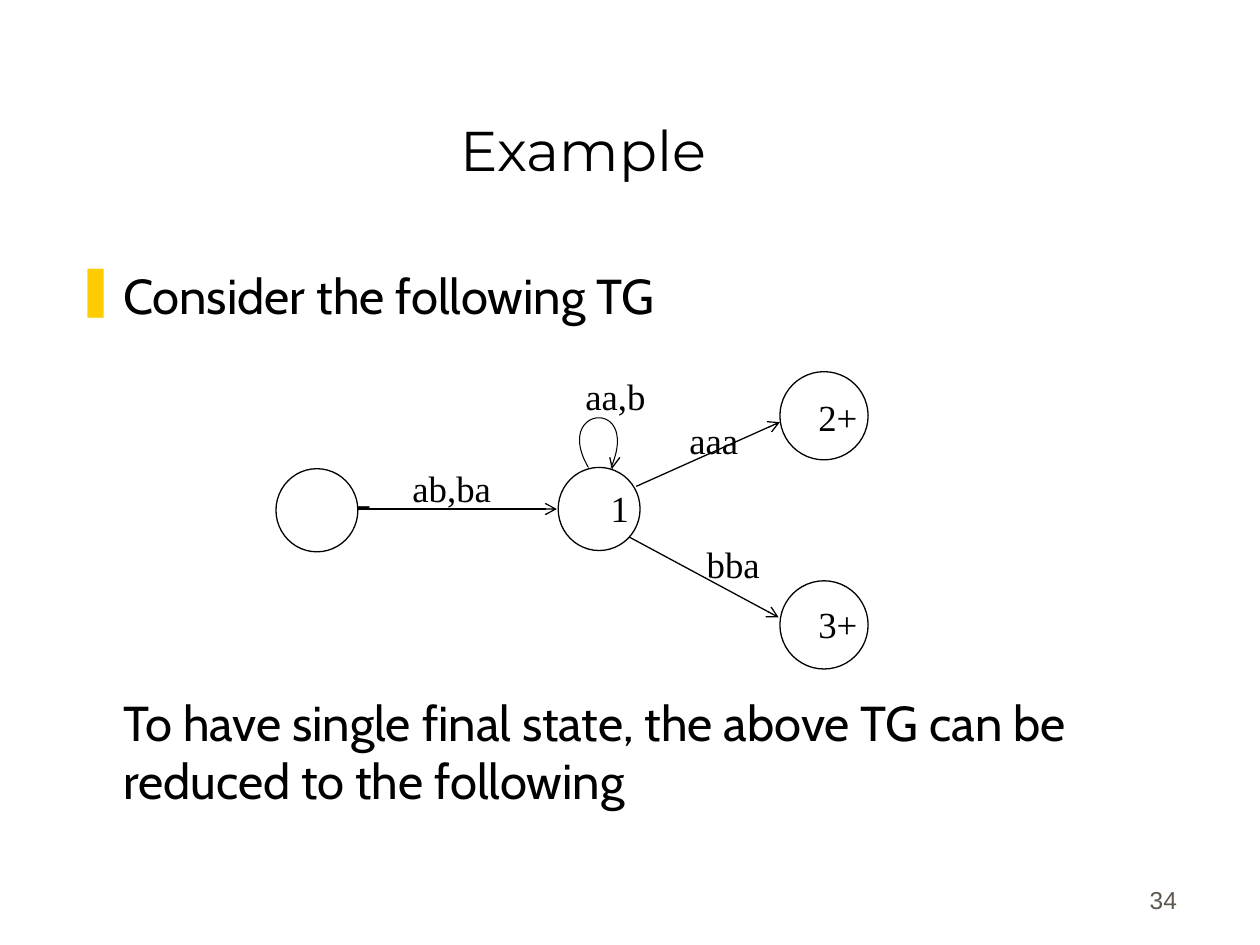
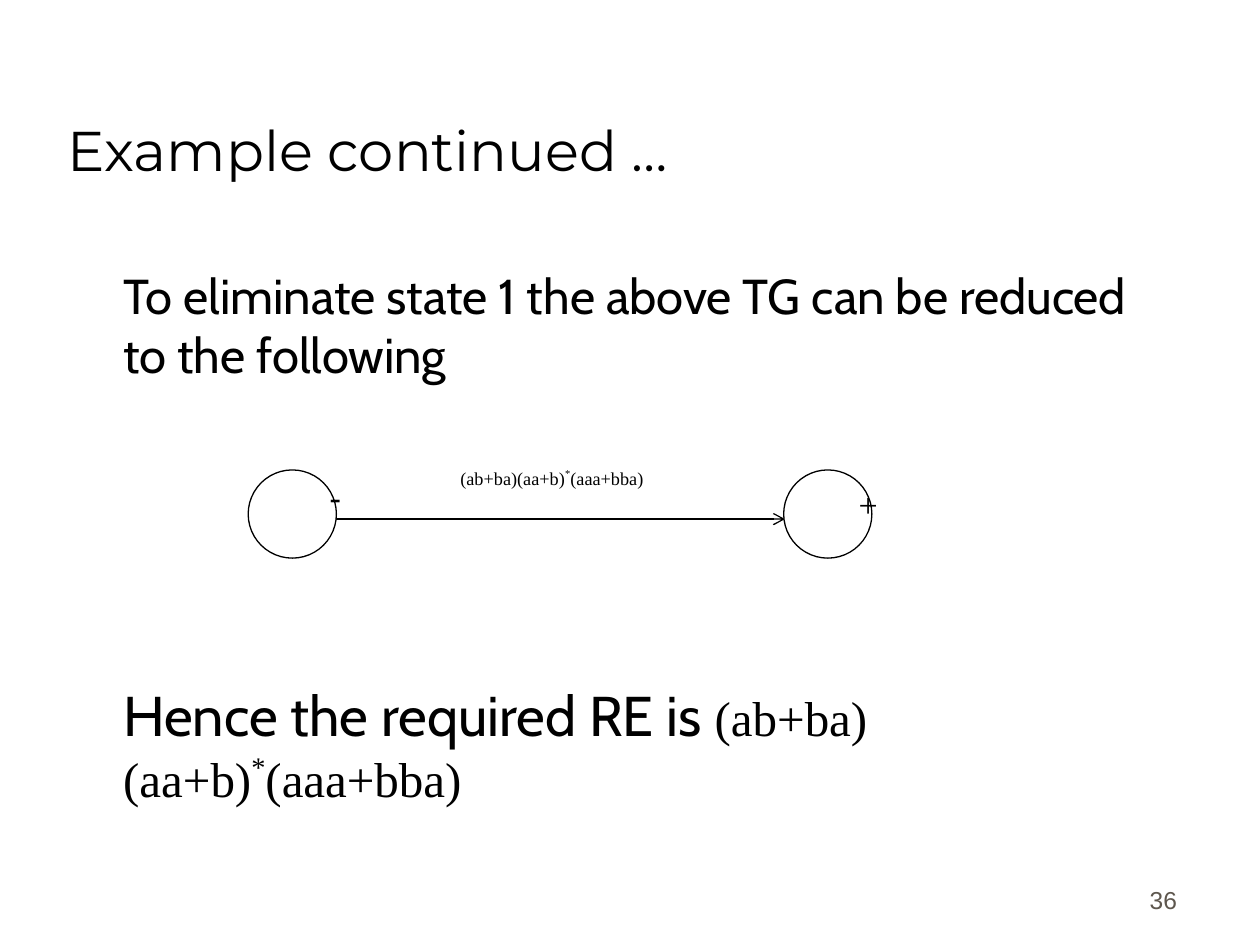
from dataclasses import dataclass
from typing import Optional

from lxml.etree import SubElement
from pptx import Presentation
from pptx.dml.color import RGBColor
from pptx.enum.shapes import MSO_CONNECTOR as Connector, MSO_SHAPE as Preset
from pptx.enum.text import MSO_ANCHOR as Anchor, PP_ALIGN as Align
from pptx.oxml.ns import qn
from pptx.util import Emu, Pt

# Shared look: 100 px to the inch
PX = 9144
INK, PAPER, GREY, GOLD = "000000", "FFFFFF", "5E574E", "FFCC00"
TITLE_FONT, BODY_FONT, MATH_FONT, NUMBER_FONT = "Montserrat", "Cabin", "Times New Roman", "Arial"
BODY_INDENT = 38


@dataclass(frozen=True)
class Span:
    text: str
    font: Optional[str] = None
    size: Optional[float] = None
    raised: bool = False


@dataclass(frozen=True)
class Place:
    left: int
    top: int
    width: int
    height: int


@dataclass(frozen=True)
class Label:
    spans: tuple[Span, ...]
    place: Place
    size: float = 21
    spacing: Optional[float] = None


@dataclass(frozen=True)
class Line:
    start: tuple[int, int]
    end: tuple[int, int]
    arrow: bool = True


TITLE_PLACE = Place(44, 25, 850, 125)
BODY_PLACE = Place(50, 206, 894, 456)
NUMBER_PLACE = Place(736, 681, 208, 50)
EXPRESSION = (Span("(ab+ba)(aa+b)"), Span("*", raised=True), Span("(aaa+bba)"))


def px(length: float) -> Emu:
    return Emu(round(length * PX))


def color(value: str) -> RGBColor:
    return RGBColor.from_string(value)


# Text
def add_box(page, place: Place, anchor=Anchor.TOP):
    box = page.shapes.add_textbox(px(place.left), px(place.top), px(place.width), px(place.height))
    frame = box.text_frame
    frame.word_wrap = True
    frame.vertical_anchor = anchor
    return box


def write(box, spans: tuple[Span, ...], *, size: float, font: str, ink: str = INK,
          align=Align.LEFT, spacing: Optional[float] = None, before: float = 0,
          indent: int = 0, bullet: str = "") -> None:
    """Write one paragraph; an unused first paragraph is filled first."""
    frame = box.text_frame
    para = frame.paragraphs[0]
    if para.runs:
        para = frame.add_paragraph()
        para.space_before = Pt(before)
    para.alignment = align
    if spacing:
        para.line_spacing = spacing
    if indent:
        layout = para._p.get_or_add_pPr()
        layout.set("marL", str(px(indent)))
        layout.set("indent", str(-px(indent) if bullet else 0))
        if bullet:
            tint = SubElement(layout, qn("a:buClr"))
            SubElement(tint, qn("a:srgbClr")).set("val", GOLD)
            SubElement(layout, qn("a:buChar")).set("char", bullet)
    for span in spans:
        run = para.add_run()
        run.text = span.text
        run.font.size = Pt(span.size or size)
        run.font.name = span.font or font
        run.font.color.rgb = color(ink)
        if span.raised:
            run._r.get_or_add_rPr().set("baseline", "40000")


def add_label(page, label: Label) -> None:
    write(add_box(page, label.place), label.spans, size=label.size, font=MATH_FONT,
          align=Align.CENTER, spacing=label.spacing)


# Graph parts
def add_state(page, place: Place) -> None:
    state = page.shapes.add_shape(Preset.OVAL, px(place.left), px(place.top),
                                  px(place.width), px(place.height))
    state.shadow.inherit = False
    state.fill.solid()
    state.fill.fore_color.rgb = color(PAPER)
    state.line.color.rgb = color(INK)
    state.line.width = Pt(0.75)


def add_line(page, line: Line) -> None:
    edge = page.shapes.add_connector(Connector.STRAIGHT, *map(px, line.start + line.end))
    edge.line.color.rgb = color(INK)
    edge.line.width = Pt(0.75)
    if line.arrow:
        SubElement(edge.line._get_or_add_ln(), qn("a:tailEnd")).set("type", "arrow")
    SubElement(edge._element.spPr, qn("a:effectLst"))


def add_curve(page, corners: tuple[tuple[int, int], ...], steps: int = 40) -> None:
    """Draw an open cubic curve through its four control points."""
    points = []
    for step in range(steps + 1):
        t = step / steps
        weights = ((1 - t) ** 3, 3 * t * (1 - t) ** 2, 3 * t * t * (1 - t), t ** 3)
        points.append(tuple(px(sum(w * corner[axis] for w, corner in zip(weights, corners)))
                            for axis in (0, 1)))
    builder = page.shapes.build_freeform(*points[0])
    builder.add_line_segments(points[1:], close=False)
    curve = builder.convert_to_shape()
    curve.shadow.inherit = False
    curve.fill.background()
    curve.line.color.rgb = color(INK)
    curve.line.width = Pt(0.6)


def add_graph(page, lines: list[Line], states: list[Place], labels: list[Label]) -> None:
    for line in lines:
        add_line(page, line)
    for state in states:
        add_state(page, state)
    for label in labels:
        add_label(page, label)


def add_page(deck, title: str, number: int, align=Align.LEFT):
    """Add a page with its title and number."""
    page = deck.slides.add_slide(deck.slide_layouts[6])
    write(add_box(page, NUMBER_PLACE, Anchor.BOTTOM), (Span(str(number)),),
          size=14, font=NUMBER_FONT, ink=GREY, align=Align.RIGHT)
    write(add_box(page, TITLE_PLACE, Anchor.BOTTOM), (Span(title),),
          size=32, font=TITLE_FONT, align=align)
    return page


# Slides
def build_example(deck) -> None:
    page = add_page(deck, "Example ", 34, Align.CENTER)
    body = add_box(page, BODY_PLACE)
    write(body, (Span("Consider the following TG"),), size=28, font=BODY_FONT,
          indent=BODY_INDENT, bullet="❚")
    write(body, (Span("To have single final state, the above TG can be reduced to the following"),),
          size=28, font=BODY_FONT, indent=BODY_INDENT, before=210)
    add_graph(
        page,
        lines=[
            Line((283, 404), (442, 404)),
            Line((505, 386), (619, 335)),
            Line((499, 426), (618, 490)),
            Line((486, 371), (492, 363), arrow=False),
            Line((486, 372), (484, 363), arrow=False),
        ],
        states=[
            Place(219, 372, 65, 66),
            Place(443, 371, 65, 66),
            Place(619, 295, 70, 70),
            Place(619, 461, 70, 70),
        ],
        labels=[
            Label((Span("-"),), Place(238, 375, 101, 56), 26.8, 0.9),
            Label((Span("1"),), Place(459, 381, 66, 56)),
            Label((Span("2+"),), Place(630, 308, 70, 71)),
            Label((Span("3+"),), Place(630, 473, 70, 71)),
            Label((Span("ab,ba"),), Place(308, 365, 101, 56)),
            Label((Span("aa,b"),), Place(438, 292, 101, 56)),
            Label((Span("aaa"),), Place(516, 327, 101, 56)),
            Label((Span("bba"),), Place(547, 425, 70, 53)),
        ],
    )
    add_curve(page, ((467, 371), (438, 322), (509, 315), (485, 371)))


def build_continued(deck) -> None:
    page = add_page(deck, "Example continued …", 36)
    body = add_box(page, BODY_PLACE)
    write(body, (Span("To eliminate state 1 the above TG can be reduced to the following"),),
          size=28, font=BODY_FONT, indent=BODY_INDENT)
    write(body, (Span("Hence the required RE is ", BODY_FONT, 32), *EXPRESSION),
          size=28, font=MATH_FONT, indent=BODY_INDENT, before=170)
    add_graph(
        page,
        lines=[Line((265, 412), (623, 412))],
        states=[Place(left, 373, 70, 70) for left in (197, 622)],
        labels=[
            Label((Span("-"),), Place(215, 379, 102, 42), 19.4, 0.8),
            Label((Span("+"),), Place(638, 385, 102, 42), 19.4, 0.8),
            Label(EXPRESSION, Place(267, 369, 342, 27), 10.4, 0.8),
        ],
    )


def main() -> None:
    deck = Presentation()
    deck.slide_width, deck.slide_height = px(1000), px(750)
    build_example(deck)
    build_continued(deck)
    deck.save("out.pptx")


if __name__ == "__main__":
    main()
